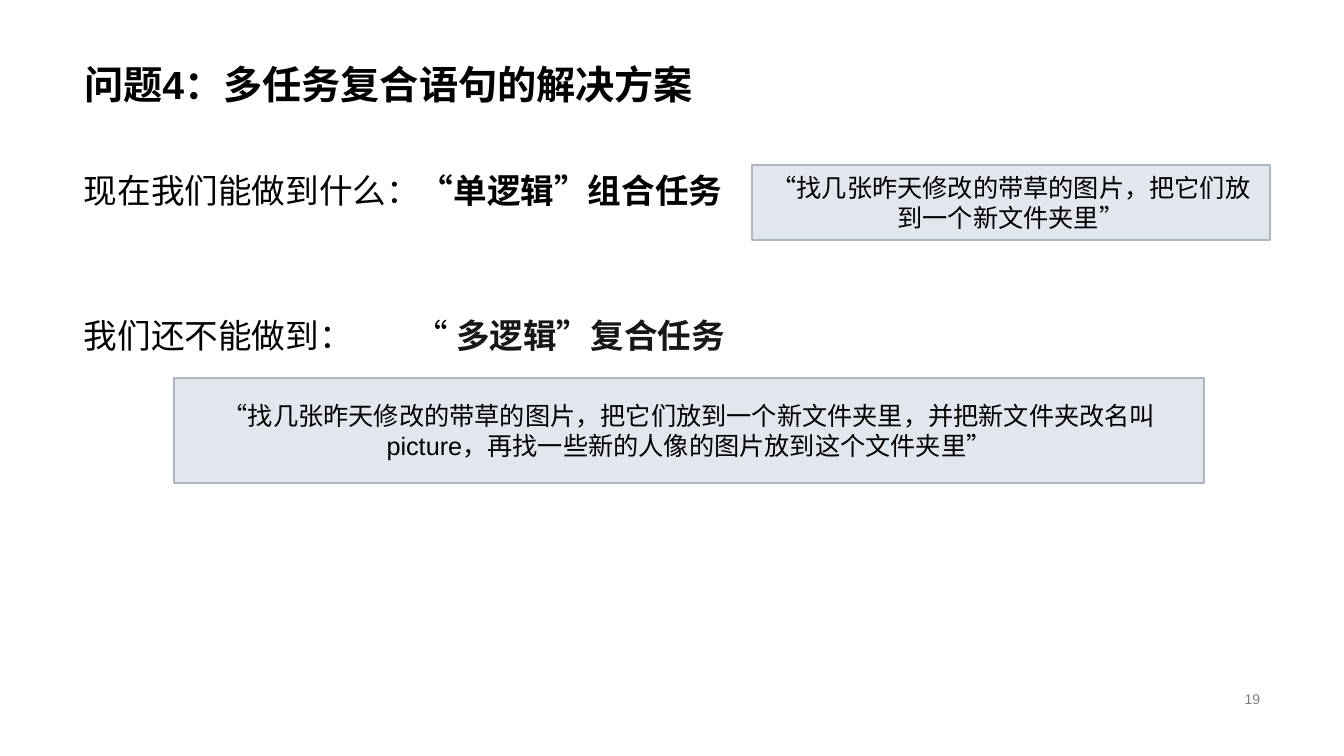
from lxml.etree import SubElement
from pptx import Presentation
from pptx.dml.color import RGBColor
from pptx.enum.lang import MSO_LANGUAGE_ID
from pptx.enum.shapes import MSO_SHAPE
from pptx.enum.text import MSO_ANCHOR, PP_ALIGN
from pptx.oxml.ns import qn
from pptx.util import Emu, Pt

# Content: runs are (text, bold, colour); places are left, top, width, height in px
TITLE = "问题4：多任务复合语句的解决方案"
PAGE_NUMBER = "19"
STATEMENTS = [
    ((74, 165, 670, 40), [("现在我们能做到什么：", False, "text"),
                          ("“单逻辑”组合任务", True, "text")]),
    ((74, 310, 670, 40), [("我们还不能做到：\t“ ", False, "text"),
                          ("多逻辑”复合任务", True, "dark")]),
]
EXAMPLES = [
    ((752, 165, 518, 75), "“找几张昨天修改的带草的图片，把它们放到一个新文件夹里”"),
    ((174, 378, 1030, 105), "“找几张昨天修改的带草的图片，把它们放到一个新文件夹里，"
                            "并把新文件夹改名叫picture，再找一些新的人像的图片放到这个文件夹里”"),
]
COLOURS = {"text": "000000", "dark": "181717", "page": "808080",
           "panel": "E2E6ED", "border": "AEB5C0"}
FONT = "Arial"
PX = 914400 / 100.8
TASK_TAB = 331


def px(length):
    return Emu(round(length * PX))


def colour(key):
    return RGBColor.from_string(COLOURS[key])


def add_run(paragraph, text, size, bold=False, key="text"):
    run = paragraph.add_run()
    run.text = text
    run.font.name = FONT
    run.font.size = Pt(size)
    run.font.bold = bold
    run.font.color.rgb = colour(key)
    run.font.language_id = MSO_LANGUAGE_ID.SIMPLIFIED_CHINESE


def add_text_box(slide, place):
    frame = slide.shapes.add_textbox(*map(px, place)).text_frame
    frame.word_wrap = True
    return frame


def add_statement(slide, place, runs):
    paragraph = add_text_box(slide, place).paragraphs[0]
    tabs = SubElement(paragraph._p.get_or_add_pPr(), qn("a:tabLst"))
    SubElement(tabs, qn("a:tab"), pos=str(px(TASK_TAB)), algn="l")
    for text, bold, key in runs:
        add_run(paragraph, text, 24, bold, key)


def add_example(slide, place, text):
    panel = slide.shapes.add_shape(MSO_SHAPE.RECTANGLE, *map(px, place))
    panel.shadow.inherit = False
    panel.fill.solid()
    panel.fill.fore_color.rgb = colour("panel")
    panel.line.color.rgb = colour("border")
    panel.line.width = Pt(1)
    panel.text_frame.word_wrap = True
    panel.text_frame.vertical_anchor = MSO_ANCHOR.MIDDLE
    paragraph = panel.text_frame.paragraphs[0]
    paragraph.alignment = PP_ALIGN.CENTER
    add_run(paragraph, text, 18)


def main():
    deck = Presentation()
    deck.slide_width, deck.slide_height = px(1344), px(756)
    slide = deck.slides.add_slide(deck.slide_layouts[5])

    # Title
    title = slide.shapes.title
    title.left, title.top, title.width, title.height = map(px, (74, 0, 1196, 113))
    title.text_frame.vertical_anchor = MSO_ANCHOR.BOTTOM
    heading = title.text_frame.paragraphs[0]
    heading.alignment = PP_ALIGN.LEFT
    heading.line_spacing = 0.9
    add_run(heading, TITLE, 28, True)

    # Statements and their example sentences
    for place, runs in STATEMENTS:
        add_statement(slide, place, runs)
    for place, text in EXAMPLES:
        add_example(slide, place, text)

    # Page number
    footer = add_text_box(slide, (950, 687, 320, 23))
    footer.vertical_anchor = MSO_ANCHOR.MIDDLE
    footer.paragraphs[0].alignment = PP_ALIGN.RIGHT
    add_run(footer.paragraphs[0], PAGE_NUMBER, 10, key="page")

    deck.save("out.pptx")


if __name__ == "__main__":
    main()
